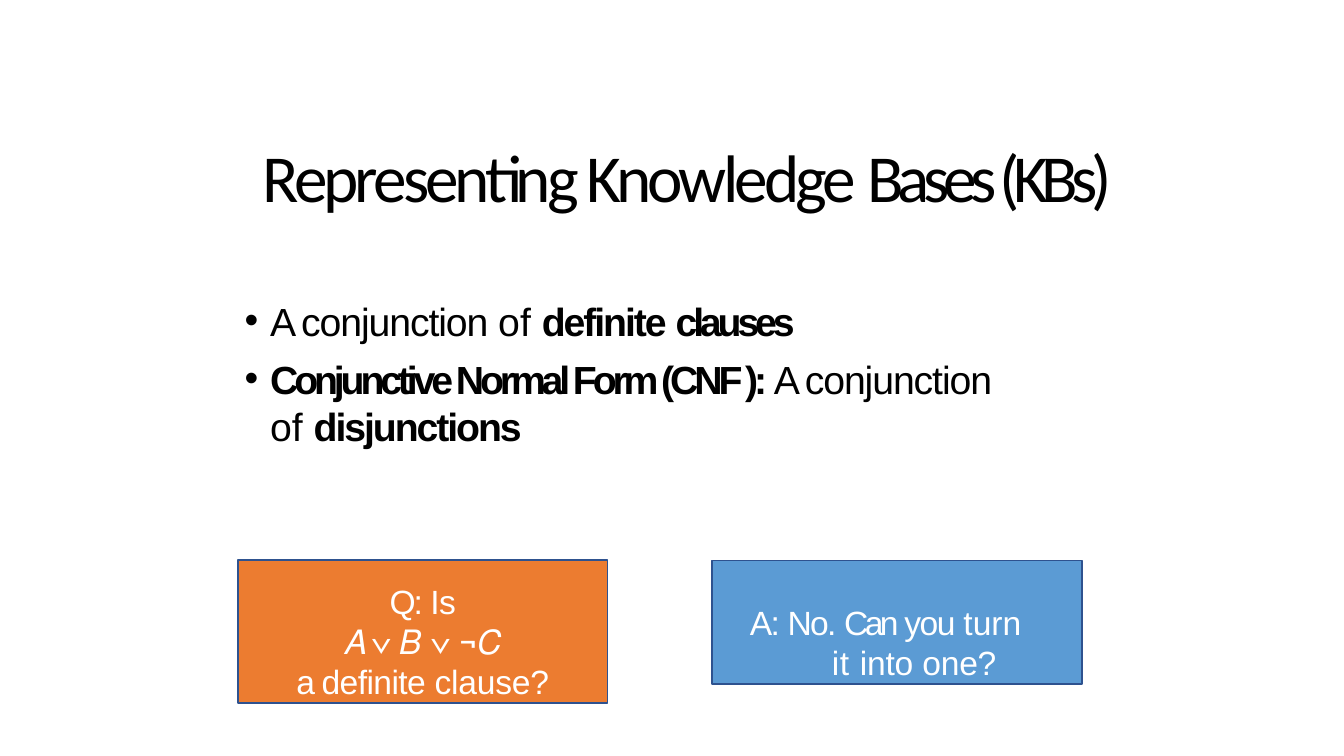
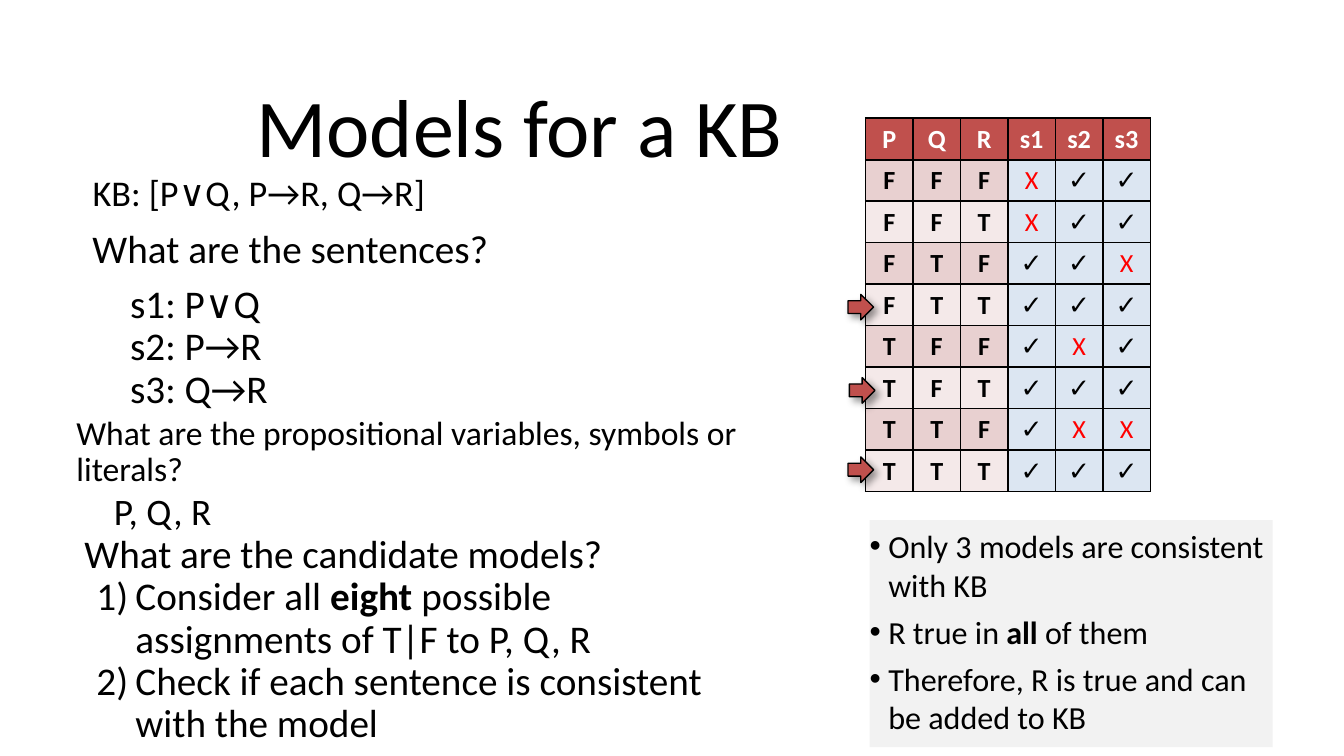
from pptx import Presentation, util as u
from pptx.dml.color import RGBColor
from pptx.enum import shapes, text
from pptx.oxml import parse_xml
from pptx.oxml.ns import nsdecls, qn

# Shared style
BLACK, WHITE = RGBColor(0, 0, 0), RGBColor(255, 255, 255)
RED, BRICK = RGBColor(255, 0, 0), RGBColor(0xC0, 0x50, 0x4D)
ORANGE, BLUE = RGBColor(0xEC, 0x7C, 0x30), RGBColor(0x5B, 0x9B, 0xD4)
NAVY, GREY = RGBColor(0x2E, 0x52, 0x8F), RGBColor(0xF2, 0xF2, 0xF2)
ROSE, PALE = RGBColor(0xE8, 0xD0, 0xD0), RGBColor(0xF4, 0xE9, 0xE9)
ICE = RGBColor(0xDC, 0xE6, 0xF2)
BODY, HEAD, MATH = "Arial", "Calibri", "Roboto"
WIDE = 10
HIGH = WIDE * 9 / 16
CENTER, LEFT = text.PP_ALIGN.CENTER, text.PP_ALIGN.LEFT
TOP, MIDDLE = text.MSO_ANCHOR.TOP, text.MSO_ANCHOR.MIDDLE
RECT, ARROW = shapes.MSO_SHAPE.RECTANGLE, shapes.MSO_SHAPE.RIGHT_ARROW
DOT = '<a:buChar %s char="•"/>'
NUM = '<a:buAutoNum %s type="arabicParenR"/>'

# Slide 1: a paragraph is a list of (words, letter spacing, bold)
TITLE = [("Representing Knowledge ", -2.1), ("Bases (KBs)", -3.4)]
FORMS = [
    [("A ", -2), ("conjunction ", -0.6), ("of ", 0),
     ("definite ", -1.1, True), ("clauses", -2.2, True)],
    [("Conjunctive Normal Form (CNF ): ", -2.2, True), ("A ", -2),
     ("conjunction ", -0.6), ("of ", 0), ("disjunctions", -1.1, True)],
]
ASK = [
    [("Q: ", -1.1), ("Is", -0.3)],
    [("𝐴 ", -1.6), ("∨ 𝐵 ∨ ", 0), ("¬𝐶", 0.3)],
    [("a ", -1.5), ("definite ", -0.3), ("clause?", -0.1)],
]
REPLY = [("A:", -1), (" No. ", -0.9), ("Can ", -1.9), ("you ", -0.8),
         ("turn ", 0), ("it ", 0.3), ("into one?", -0.1)]

# Slide 2: (place, size, left indent, line spacing, words)
NOTES = [
    ((0.59, 1.31, 4.88, 0.35), 19.4, 0, 0.7, "KB: [P∨Q, P→R, Q→R]"),
    ((0.59, 1.66, 5, 0.42), 21, 0, 0.9, "What are the sentences?"),
    ((0.59, 2.07, 1.54, 1.36), 21, 0.28, 0.9, "s1: P∨Q\vs2: P→R\vs3: Q→R"),
    ((0.47, 3.05, 5.58, 0.65), 18, 0, 0.9,
     "What are the propositional variables, symbols or literals?"),
    ((0.47, 3.62, 5, 0.42), 20, 0.28, 0.9, "P, Q, R"),
]
MODELS = "What are the candidate models?"
STEPS = [
    [("Consider all ",), ("eight", 0, True),
     (" possible assignments of T|F to P, Q, R",)],
    [("Check if each sentence is consistent with the model",)],
]
FACTS = [
    [("Only 3 models are consistent with KB",)],
    [("R true in ",), ("all", 0, True), (" of them",)],
    [("Therefore, R is true and can be added to KB",)],
]
TRUTH = [
    "P Q R s1 s2 s3",
    "F F F X ✓ ✓", "F F T X ✓ ✓", "F T F ✓ ✓ X", "F T T ✓ ✓ ✓",
    "T F F ✓ X ✓", "T F T ✓ ✓ ✓", "T T F ✓ X X", "T T T ✓ ✓ ✓",
]
HITS = [(6.31, 2.19), (6.31, 3.4), (6.32, 2.81)]


def inches(nums):
    return [u.Inches(n) for n in nums]


def style(run, size, font, color, bold=False, gap=0):
    run.font.size, run.font.name = u.Pt(size), font
    run.font.color.rgb, run.font.bold = color, bold
    if gap:
        run.font._element.set("spc", str(round(gap * 100)))


def write(par, runs, size, font=HEAD, color=BLACK, align=None, left=0,
          hang=0, lead=None, before=0, after=0, mark=None):
    """Fill one paragraph with its runs and spacing."""
    for words, *look in runs:
        gap, bold = look + [0, False][len(look):]
        for i, piece in enumerate(words.split("\v")):
            if i:
                par.add_line_break()
            run = par.add_run()
            run.text = piece
            style(run, size, font, color, bold, gap)
    par.alignment = align
    par.line_spacing = lead
    par.space_before, par.space_after = u.Pt(before), u.Pt(after)
    props = par._p.get_or_add_pPr()
    props.set("marL", str(u.Inches(left)))
    props.set("indent", str(u.Inches(hang)))
    if mark == DOT:
        props.append(parse_xml(
            '<a:buFont %s typeface="Arial"/>' % nsdecls("a")))
    if mark:
        props.append(parse_xml(mark % nsdecls("a")))


def frame(shape, inset=(0.1, 0.05, 0.1, 0.05), anchor=TOP, wrap=True):
    body = shape.text_frame
    body.word_wrap, body.vertical_anchor = wrap, anchor
    (body.margin_left, body.margin_top,
     body.margin_right, body.margin_bottom) = inches(inset)
    return body


def box(slide, place, **kw):
    return frame(slide.shapes.add_textbox(*inches(place)), **kw)


def block(slide, kind, place, fill, line=None, width=1):
    shape = slide.shapes.add_shape(kind, *inches(place))
    shape.fill.solid()
    shape.fill.fore_color.rgb = fill
    if line is None:
        shape.line.fill.background()
    else:
        shape.line.color.rgb, shape.line.width = line, u.Pt(width)
    shape.shadow.inherit = False
    return shape


def fill_in(body, pars, **kw):
    """Write a list of paragraphs in one style."""
    for i, runs in enumerate(pars):
        par = body.add_paragraph() if i else body.paragraphs[0]
        write(par, runs, **kw)


def forms(slide):
    title = box(slide, (1.67, 0.99, 6.88, 0.62), inset=(0, 0.01, 0, 0),
                anchor=MIDDLE)
    write(title.paragraphs[0], TITLE, 36, align=CENTER, left=0.01)
    fill_in(box(slide, (1.79, 2.13, 5.77, 1.23), inset=(0, 0.08, 0, 0)),
            FORMS, size=21, font=BODY, left=0.22, hang=-0.19, before=5.8,
            mark=DOT)

    # Question and answer
    ask = block(slide, RECT, (1.77, 4.17, 2.75, 1.06), ORANGE, NAVY)
    body = frame(ask, (0, 0.15, 0, 0))
    fill_in(body, ASK, size=18, font=BODY, color=WHITE, align=CENTER,
            lead=u.Pt(21.6))
    for run in body.paragraphs[1].runs:
        run.font.name = MATH
        for tag in ("ea", "cs"):
            run.font._element.append(parse_xml(
                '<a:%s %s typeface="%s"/>' % (tag, nsdecls("a"), MATH)))
    reply = block(slide, RECT, (5.3, 4.17, 2.75, 0.92), BLUE, NAVY)
    write(frame(reply, (0, 0.31, 0.3, 0)).paragraphs[0], REPLY, 18, BODY,
          WHITE, align=LEFT, left=0.89, hang=-0.61)


def edge(cell):
    props = cell._tc.get_or_add_tcPr()
    for i, side in enumerate(("lnL", "lnR", "lnT", "lnB")):
        props.insert(i, parse_xml(
            '<a:%s %s w="12700"><a:solidFill><a:srgbClr val="000000"/>'
            '</a:solidFill></a:%s>' % (side, nsdecls("a"), side)))


def truth(slide):
    rows = [line.split() for line in TRUTH]
    grid = slide.shapes.add_table(
        len(rows), len(rows[0]), *inches((6.44, 0.88, 2.12, 2.77))).table
    for r, row in enumerate(rows):
        for c, mark in enumerate(row):
            cell = grid.cell(r, c)
            cell.margin_left = cell.margin_right = u.Inches(0.07)
            cell.margin_top = cell.margin_bottom = u.Pt(2.7)
            wrong = mark == "X"
            ink = WHITE if r == 0 else RED if wrong else BLACK
            write(cell.text_frame.paragraphs[0], [(mark, 0, not wrong)],
                  14, color=ink, align=CENTER)
            cell.fill.solid()
            cell.fill.fore_color.rgb = (
                BRICK if r == 0 else ICE if c > 2 else ROSE if r % 2 else PALE)
            edge(cell)


def models(slide):
    title = box(slide, (1.81, 0.46, 6.38, 0.94), anchor=MIDDLE)
    write(title.paragraphs[0], [("Models for a KB",)], 44)
    first, *others = NOTES
    note(slide, *first)
    truth(slide)
    for item in others:
        note(slide, *item)

    # Candidate models
    body = box(slide, (0.53, 3.93, 5, 1.69))
    write(body.paragraphs[0], [(MODELS,)], 21, lead=0.9)
    for step in STEPS:
        write(body.add_paragraph(), step, 21, left=0.38, hang=-0.29,
              lead=0.9, mark=NUM)

    # Conclusions
    panel = block(slide, RECT, (6.47, 3.87, 3, 1.69), GREY)
    fill_in(frame(panel, (0, 0.05, 0, 0.05)), FACTS, size=17.2,
            align=LEFT, left=0.14, hang=-0.14, after=4.5, mark=DOT)

    # Arrows at the consistent rows
    for x, y in HITS:
        arrow = block(slide, ARROW, (x, y, 0.19, 0.19), BRICK, BLACK, 0.75)
        arrow._element.spPr.find(qn("a:effectLst")).append(parse_xml(
            '<a:outerShdw %s blurRad="50800" dist="38100" dir="2700000">'
            '<a:srgbClr val="000000"><a:alpha val="40000"/></a:srgbClr>'
            '</a:outerShdw>' % nsdecls("a")))


def note(slide, place, size, left, lead, words):
    body = box(slide, place, wrap="\v" not in words)
    write(body.paragraphs[0], [(words,)], size, left=left, lead=lead)


def main():
    deck = Presentation()
    deck.slide_width, deck.slide_height = inches((WIDE, HIGH))
    for draw in (forms, models):
        draw(deck.slides.add_slide(deck.slide_layouts[6]))
    deck.save("out.pptx")


if __name__ == "__main__":
    main()
